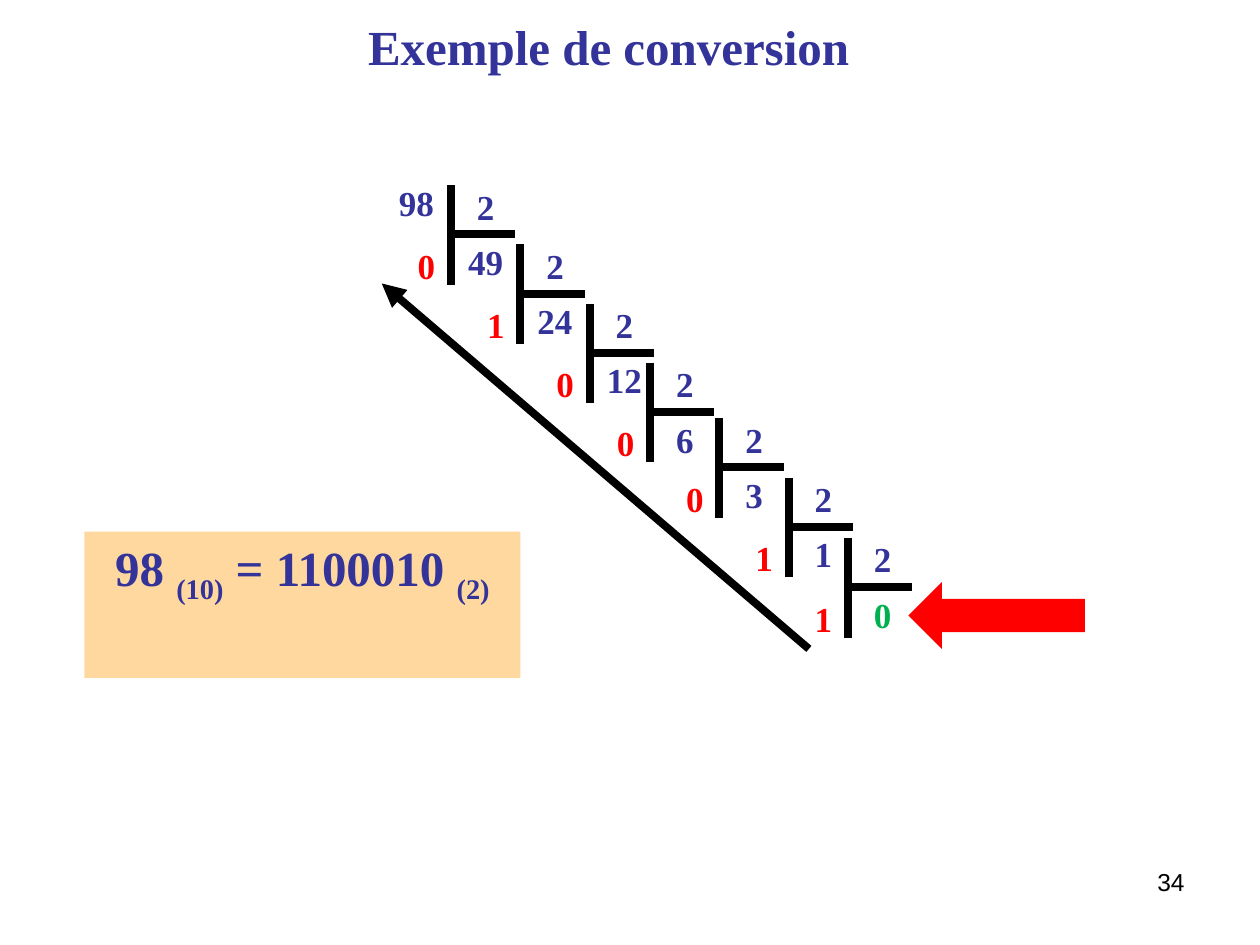
from dataclasses import dataclass

from lxml.etree import SubElement
from pptx import Presentation
from pptx.dml.color import RGBColor
from pptx.enum.shapes import MSO_CONNECTOR as Connector, MSO_SHAPE as Shape
from pptx.enum.text import MSO_ANCHOR as Anchor, MSO_AUTO_SIZE as AutoSize, PP_ALIGN as Align
from pptx.oxml.ns import qn
from pptx.util import Inches, Pt


@dataclass(frozen=True)
class Theme:
    ink: RGBColor = RGBColor(0x33, 0x33, 0x99)
    remainder: RGBColor = RGBColor(0xFF, 0x00, 0x00)
    final: RGBColor = RGBColor(0x00, 0xB0, 0x50)
    black: RGBColor = RGBColor(0x00, 0x00, 0x00)
    panel: RGBColor = RGBColor(0xFF, 0xD8, 0x9F)
    serif: str = "Times New Roman"
    sans: str = "Arial"
    large: int = 28
    digit: int = 20
    page_number: int = 14
    line: float = 4.5


@dataclass(frozen=True)
class Division:
    """One division by two, placed by the top of its vertical bar."""
    dividend: int
    left: float
    top: float


THEME = Theme()
BASE = 2
START = 98
BAR_TOPS = [(3.58, 1.47), (4.13, 1.94), (4.68, 2.41), (5.16, 2.88),
            (5.71, 3.32), (6.26, 3.79), (6.73, 4.27)]


def style_run(run, size: float, color: RGBColor, name: str = THEME.serif, bold: bool = True) -> None:
    font = run.font
    font.name, font.size, font.bold = name, Pt(size), bold
    font.color.rgb = color


def add_number(slide, value: int, left: float, top: float, color: RGBColor = THEME.ink) -> None:
    box = slide.shapes.add_textbox(Inches(left), Inches(top), Inches(0.71), Inches(0.44))
    frame = box.text_frame
    frame.word_wrap = True
    frame.auto_size = AutoSize.SHAPE_TO_FIT_TEXT
    frame.text = str(value)
    para = frame.paragraphs[0]
    para.alignment = Align.CENTER
    para.space_before = Pt(5)
    style_run(para.runs[0], THEME.digit, color)


def add_line(slide, start: tuple[float, float], end: tuple[float, float], arrow: bool = False) -> None:
    line = slide.shapes.add_connector(Connector.STRAIGHT, *map(Inches, start + end))
    line.line.color.rgb = THEME.black
    line.line.width = Pt(THEME.line)
    if arrow:
        SubElement(line.line._get_or_add_ln(), qn("a:tailEnd"), type="triangle")
    SubElement(line._element.spPr, qn("a:effectLst"))


def add_division(slide, step: Division) -> None:
    quotient, remainder = divmod(step.dividend, BASE)
    x, y = step.left, step.top
    add_line(slide, (x, y), (x, y + 0.79))
    add_line(slide, (x, y + 0.39), (x + 0.51, y + 0.39))
    add_number(slide, BASE, x - 0.08, y - 0.05)
    add_number(slide, quotient, x - 0.08, y + 0.39, THEME.ink if quotient else THEME.final)
    add_number(slide, remainder, x - 0.55, y + 0.42, THEME.remainder)


def add_filled_shape(slide, kind: Shape, bounds: tuple[float, ...], color: RGBColor):
    shape = slide.shapes.add_shape(kind, *map(Inches, bounds))
    shape.shadow.inherit = False
    shape.fill.solid()
    shape.fill.fore_color.rgb = color
    shape.line.fill.background()
    return shape


def add_result(slide) -> None:
    panel = add_filled_shape(slide, Shape.RECTANGLE, (0.67, 4.22, 3.46, 1.16), THEME.panel)
    frame = panel.text_frame
    frame.word_wrap = True
    frame.vertical_anchor = Anchor.TOP
    para = frame.paragraphs[0]
    para.alignment = Align.CENTER
    para.space_before = Pt(7)
    for text, subscript in [(f"{START} ", False), ("(10)", True),
                            (f" = {START:b} ", False), (f"({BASE})", True)]:
        span = para.add_run()
        span.text = text
        style_run(span, THEME.large, THEME.ink)
        if subscript:
            span.font._element.set("baseline", "-25000")


def set_title(slide) -> None:
    title = slide.shapes.title
    title.left, title.top, title.width, title.height = map(Inches, (0.43, 0.06, 9, 0.61))
    frame = title.text_frame
    frame.text = "Exemple de conversion"
    frame.auto_size = AutoSize.NONE
    frame.vertical_anchor = Anchor.MIDDLE
    frame.margin_right = Inches(0.3)
    para = frame.paragraphs[0]
    para.alignment = Align.CENTER
    style_run(para.runs[0], THEME.large, THEME.ink)


def add_page_number(slide) -> None:
    box = slide.shapes.add_textbox(*map(Inches, (7.17, 6.83, 2.33, 0.52)))
    box.text_frame.word_wrap = True
    box.text_frame.text = "34"
    para = box.text_frame.paragraphs[0]
    para.alignment = Align.RIGHT
    style_run(para.runs[0], THEME.page_number, THEME.black, THEME.sans, bold=False)


def main() -> None:
    deck = Presentation()
    deck.slide_width, deck.slide_height = Inches(10), Inches(7.5)
    page = deck.slides.add_slide(deck.slide_layouts.get_by_name("Title Only"))
    set_title(page)
    add_page_number(page)

    # Successive divisions, each quotient being the next dividend
    add_number(page, START, 2.95, 1.39)
    for index, (left, top) in enumerate(BAR_TOPS):
        add_division(page, Division(START // BASE ** index, left, top))

    # Reading direction of the remainders, result and end marker
    add_line(page, (6.42, 5.15), (3.03, 2.25), arrow=True)
    add_result(page)
    marker = add_filled_shape(page, Shape.RIGHT_ARROW, (7.21, 4.62, 1.4, 0.53), THEME.remainder)
    marker.rotation = 180

    deck.save("out.pptx")


if __name__ == "__main__":
    main()
